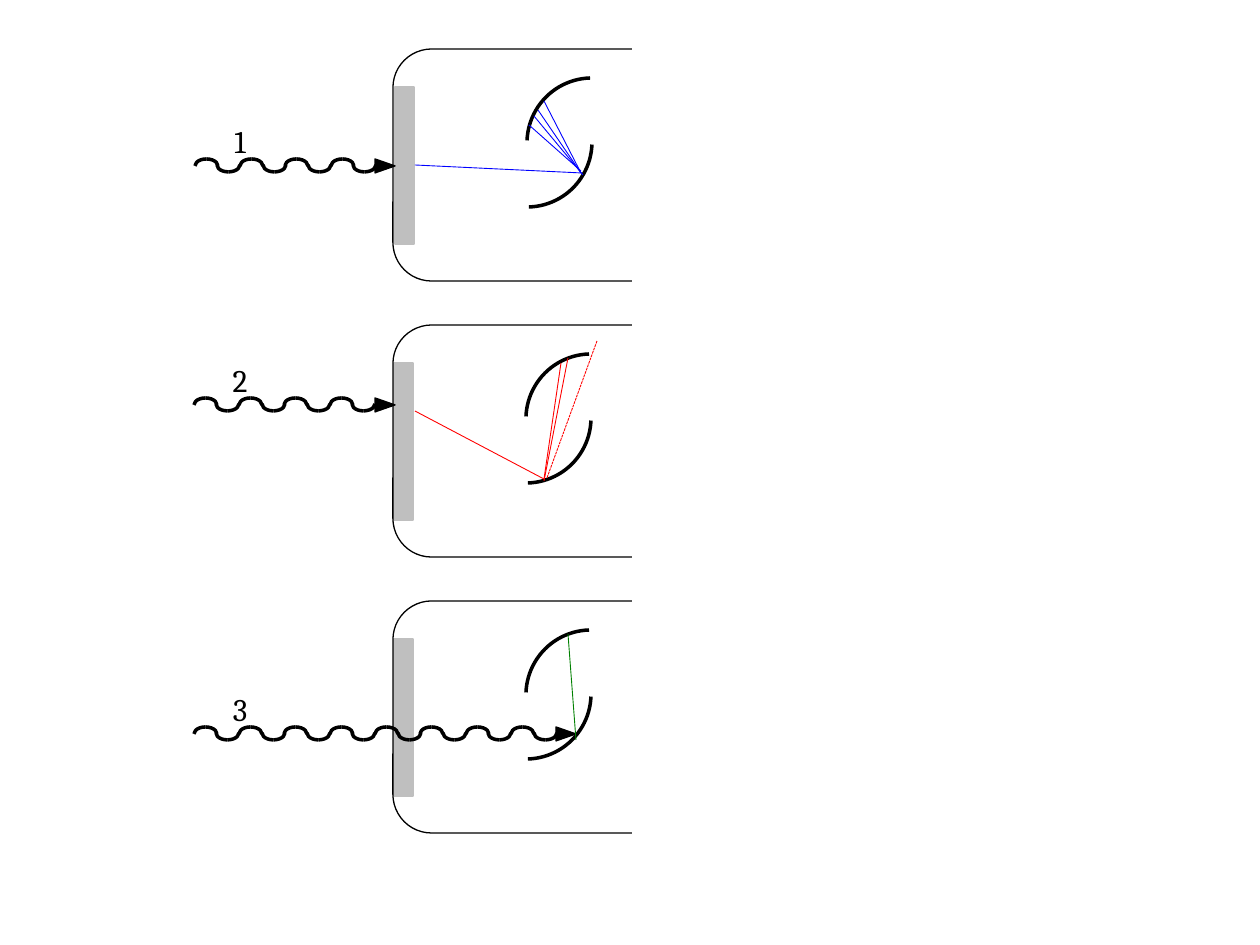
import pptx
import pptx.util
import pptx.dml.color
import pptx.enum.dml
import pptx.enum.shapes
import pptx.enum.text
import pptx.oxml.ns
import lxml.etree

SCALE = 914400 / 126
COLORS = {"black": "000000", "white": "FFFFFF", "plate": "BFBFBF",
          "blue": "0000FF", "red": "FF0000", "green": "008000"}
KINDS = pptx.enum.shapes.MSO_SHAPE
PANEL_PITCH = 276


def px(length):
    return pptx.util.Emu(round(length * SCALE))


def add_part(parent, kind, box, fill=None, line="black", width=0.75, flip=""):
    part = parent.shapes.add_shape(kind, *map(px, box))
    part.shadow.inherit = False
    if fill:
        part.fill.solid()
        part.fill.fore_color.rgb = pptx.dml.color.RGBColor.from_string(COLORS[fill])
    else:
        part.fill.background()
    part.line.color.rgb = pptx.dml.color.RGBColor.from_string(COLORS[line])
    part.line.width = pptx.util.Pt(width)
    for axis in flip:
        part.element.spPr.get_or_add_xfrm().set("flip" + axis, "1")
    return part


def add_ray(parent, ends, color):
    ray = parent.shapes.add_connector(
        pptx.enum.shapes.MSO_CONNECTOR.STRAIGHT, *map(px, ends))
    ray.line.color.rgb = pptx.dml.color.RGBColor.from_string(COLORS[color])
    ray.line.width = pptx.util.Pt(0.5)
    lxml.etree.SubElement(ray.element.spPr, pptx.oxml.ns.qn("a:effectLst"))
    return ray


presentation = pptx.Presentation()
presentation.slide_width = px(1260)
presentation.slide_height = px(945)
slide = presentation.slides.add_slide(presentation.slide_layouts[6])

panels = [
    {"label": "1", "shift": 1, "wave_top": 159, "waves": 8, "color": "blue",
     "rays": [(415, 165, 582, 173), (529, 125, 581, 171), (544, 101, 581, 173),
              (538, 110, 581, 173), (534, 116, 583, 175)]},
    {"label": "2", "shift": 0, "wave_top": 398, "waves": 8, "color": "red",
     "rays": [(415, 411, 544, 479), (544, 481, 568, 358), (561, 363, 544, 479)]},
    {"label": "3", "shift": 0, "wave_top": 727, "waves": 16, "color": "green",
     "rays": [(576, 740, 568, 634)]},
]

for index, panel in enumerate(panels):
    group = slide.shapes.add_group_shape()
    top = 49 + index * PANEL_PITCH
    shift = panel["shift"]
    wave_top = panel["wave_top"]

    add_part(group, KINDS.RECTANGLE, (394 + shift, top + 38, 19, 157), "plate", "plate")
    add_part(group, KINDS.ROUNDED_RECTANGLE, (393, top, 393, 232))
    add_part(group, KINDS.RECTANGLE, (633, top - 18, 175, 266), "white", "white")

    for left, drop, flip in [(526, 29, "H"), (461, 28, "V")]:
        dynode = add_part(group, KINDS.ARC, (left + shift, top + drop, 130, 130),
                          width=2, flip=flip)
        dynode.adjustments[0] = 163.011
        dynode.adjustments[1] = 214.631

    for step in range(panel["waves"]):
        trough = step % 2
        box = (194 + shift + step * 68 // 3, wave_top - trough, 23, 14)
        for side in ("", "H"):
            add_part(group, KINDS.ARC, box, width=2, flip=side + "V" * trough)

    wave_end = 194 + panel["waves"] * 68 // 3
    arrowhead = add_part(group, KINDS.ISOSCELES_TRIANGLE,
                         (wave_end + 3, wave_top - 3, 14, 20), "black")
    arrowhead.rotation = 90

    for ends in panel["rays"]:
        add_ray(group, ends, panel["color"])

    label = group.shapes.add_textbox(px(218), px(wave_top - 43), px(44), px(50))
    label.text_frame.text = panel["label"]
    label.text_frame.word_wrap = True
    label.text_frame.auto_size = pptx.enum.text.MSO_AUTO_SIZE.SHAPE_TO_FIT_TEXT
    paragraph = label.text_frame.paragraphs[0]
    paragraph.alignment = pptx.enum.text.PP_ALIGN.CENTER
    font = paragraph.runs[0].font
    font.name = "Cambria"
    font.size = pptx.util.Pt(18)
    font.color.rgb = pptx.dml.color.RGBColor.from_string(COLORS["black"])

missed_ray = add_ray(slide, (597, 341, 547, 478), "red")
missed_ray.line.dash_style = pptx.enum.dml.MSO_LINE.SQUARE_DOT

presentation.save("out.pptx")
